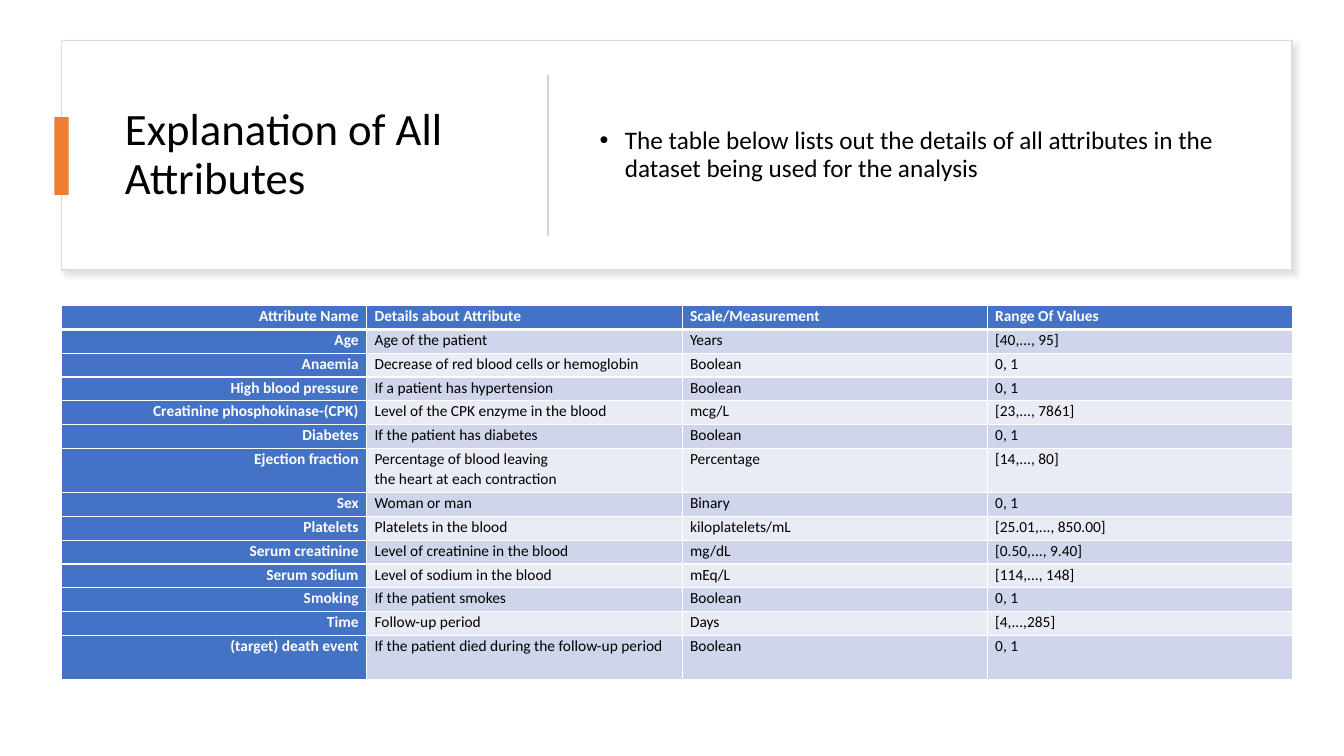
from dataclasses import dataclass

from lxml.etree import SubElement
from pptx import Presentation
from pptx.dml.color import RGBColor
from pptx.enum.shapes import MSO_SHAPE as Shape
from pptx.enum.text import MSO_ANCHOR as Anchor, PP_ALIGN as Align
from pptx.oxml.ns import qn
from pptx.slide import Slide
from pptx.table import _Cell as Cell
from pptx.text.text import _Paragraph as Paragraph
from pptx.util import Cm, Pt


@dataclass(frozen=True)
class Theme:
    font: str = "Calibri"
    title_size: float = 32
    body_size: float = 18
    table_size: float = 11
    ink: str = "000000"
    white: str = "FFFFFF"
    frame: str = "DEDEDE"
    shadow: str = "C5C3C3"
    accent: str = "ED7D31"
    divider: str = "D5D5D5"
    header: str = "4472C4"
    bands: tuple[str, str] = ("CFD5EA", "E9EBF5")


@dataclass(frozen=True)
class Area:
    left: float
    top: float
    width: float
    height: float

    def lengths(self) -> tuple[Cm, Cm, Cm, Cm]:
        return Cm(self.left), Cm(self.top), Cm(self.width), Cm(self.height)


@dataclass(frozen=True)
class Block:
    area: Area
    fill: str
    line: str | None = None
    shadow: str | None = None


@dataclass(frozen=True)
class Attribute:
    name: str
    details: str
    scale: str
    values: str
    height: float = 0.6

    def texts(self) -> tuple[str, str, str, str]:
        return self.name, self.details, self.scale, self.values


THEME = Theme()
BLOCKS = (
    Block(Area(1.55, 1.02, 31.01, 5.79), THEME.white, THEME.frame, THEME.shadow),
    Block(Area(1.37, 2.95, 0.36, 1.96), THEME.accent),
    Block(Area(13.79, 1.88, 0.05, 4.06), THEME.divider),
)
TITLE_AREA = Area(2.9, 1.63, 9.88, 4.57)
BODY_AREA = Area(14.86, 1.63, 16.66, 4.57)
TABLE_AREA = Area(1.55, 7.7, 31.02, 9.42)
COLUMN_WIDTHS = (7.69, 7.95, 7.69, 7.69)
TALL_ROW = 1.11
ATTRIBUTES = (
    Attribute("Attribute Name", "Details about Attribute", "Scale/Measurement", "Range Of Values"),
    Attribute("Age", "Age of the patient", "Years", "[40,..., 95]"),
    Attribute("Anaemia", "Decrease of red blood cells or hemoglobin", "Boolean", "0, 1"),
    Attribute("High blood pressure", "If a patient has hypertension", "Boolean", "0, 1"),
    Attribute("Creatinine phosphokinase-(CPK)", "Level of the CPK enzyme in the blood", "mcg/L", "[23,..., 7861]"),
    Attribute("Diabetes", "If the patient has diabetes", "Boolean", "0, 1"),
    Attribute("Ejection fraction", "Percentage of blood leaving\nthe heart at each contraction",
              "Percentage", "[14,..., 80]", TALL_ROW),
    Attribute("Sex", "Woman or man", "Binary", "0, 1"),
    Attribute("Platelets", "Platelets in the blood", "kiloplatelets/mL", "[25.01,..., 850.00]"),
    Attribute("Serum creatinine", "Level of creatinine in the blood", "mg/dL", "[0.50,..., 9.40]"),
    Attribute("Serum sodium", "Level of sodium in the blood", "mEq/L", "[114,..., 148]"),
    Attribute("Smoking", "If the patient smokes", "Boolean", "0, 1"),
    Attribute("Time", "Follow-up period", "Days", "[4,...,285]"),
    Attribute("(target) death event", "If the patient died during the follow-up period",
              "Boolean", "0, 1", TALL_ROW),
)


def add_span(para: Paragraph, text: str, size: float, color: str, bold: bool = False) -> None:
    """Append one formatted run to a paragraph."""
    span = para.add_run()
    span.text = text
    span.font.name = THEME.font
    span.font.size = Pt(size)
    span.font.bold = bold
    span.font.color.rgb = RGBColor.from_string(color)


def add_block(page: Slide, block: Block) -> None:
    """Draw a filled rectangle with an optional outline and shadow."""
    box = page.shapes.add_shape(Shape.RECTANGLE, *block.area.lengths())
    box.fill.solid()
    box.fill.fore_color.rgb = RGBColor.from_string(block.fill)
    if block.line:
        box.line.color.rgb = RGBColor.from_string(block.line)
        box.line.width = Pt(1)
    else:
        box.line.fill.background()
    box.shadow.inherit = False
    if block.shadow:
        effects = box._element.spPr.find(qn("a:effectLst"))
        outer = SubElement(effects, qn("a:outerShdw"), blurRad=str(Pt(4)), dist=str(Pt(3)),
                           dir="2700000", algn="tl", rotWithShape="0")
        color = SubElement(outer, qn("a:srgbClr"), val=block.shadow)
        SubElement(color, qn("a:alpha"), val="50000")


def add_text(page: Slide, area: Area, text: str, size: float) -> Paragraph:
    """Add a wrapped, vertically centred text box and return its paragraph."""
    frame = page.shapes.add_textbox(*area.lengths()).text_frame
    frame.word_wrap = True
    frame.vertical_anchor = Anchor.MIDDLE
    para = frame.paragraphs[0]
    para.line_spacing = 0.9
    add_span(para, text, size, THEME.ink)
    return para


def add_bullet(para: Paragraph) -> None:
    """Give a paragraph a hanging round bullet."""
    para.space_before = Pt(10)
    properties = para._p.get_or_add_pPr()
    indent = Cm(0.64)
    properties.set("marL", str(indent))
    properties.set("indent", str(-indent))
    SubElement(properties, qn("a:buFont"), typeface="Arial")
    SubElement(properties, qn("a:buChar"), char="•")


def add_borders(cell: Cell, row: int) -> None:
    """Draw white cell borders, heavier between header and body."""
    widths = {"L": 1, "R": 1, "T": 3 if row == 1 else 1, "B": 3 if row == 0 else 1}
    properties = cell._tc.get_or_add_tcPr()
    for side, width in widths.items():
        line = SubElement(properties, qn(f"a:ln{side}"), w=str(Pt(width)))
        fill = SubElement(line, qn("a:solidFill"))
        SubElement(fill, qn("a:srgbClr"), val=THEME.white)


def fill_cell(cell: Cell, text: str, row: int, column: int) -> None:
    """Write and style one table cell."""
    heading = row == 0 or column == 0
    cell.margin_left = cell.margin_right = Cm(0.2)
    cell.margin_top = cell.margin_bottom = Cm(0)
    add_borders(cell, row)
    cell.fill.solid()
    color = THEME.header if heading else THEME.bands[(row - 1) % 2]
    cell.fill.fore_color.rgb = RGBColor.from_string(color)
    frame = cell.text_frame
    for index, line in enumerate(text.split("\n")):
        para = frame.add_paragraph() if index else frame.paragraphs[0]
        para.alignment = Align.RIGHT if column == 0 else Align.LEFT
        para.line_spacing = 1.07
        add_span(para, line, THEME.table_size, THEME.white if heading else THEME.ink, heading)


def add_attribute_table(page: Slide) -> None:
    """Build the table of dataset attributes."""
    table = page.shapes.add_table(len(ATTRIBUTES), len(COLUMN_WIDTHS), *TABLE_AREA.lengths()).table
    for column, width in zip(table.columns, COLUMN_WIDTHS):
        column.width = Cm(width)
    for row, attribute in enumerate(ATTRIBUTES):
        table.rows[row].height = Cm(attribute.height)
        for column, text in enumerate(attribute.texts()):
            fill_cell(table.cell(row, column), text, row, column)


def main() -> None:
    """Build and save the slide."""
    deck = Presentation()
    deck.slide_width, deck.slide_height = Cm(33.87), Cm(19.05)
    page = deck.slides.add_slide(deck.slide_layouts[6])
    for block in BLOCKS:
        add_block(page, block)
    add_text(page, TITLE_AREA, "Explanation of All Attributes", THEME.title_size)
    add_bullet(add_text(page, BODY_AREA, "The table below lists out the details of all attributes "
                        "in the dataset being used for the analysis", THEME.body_size))
    add_attribute_table(page)
    deck.save("out.pptx")


if __name__ == "__main__":
    main()
